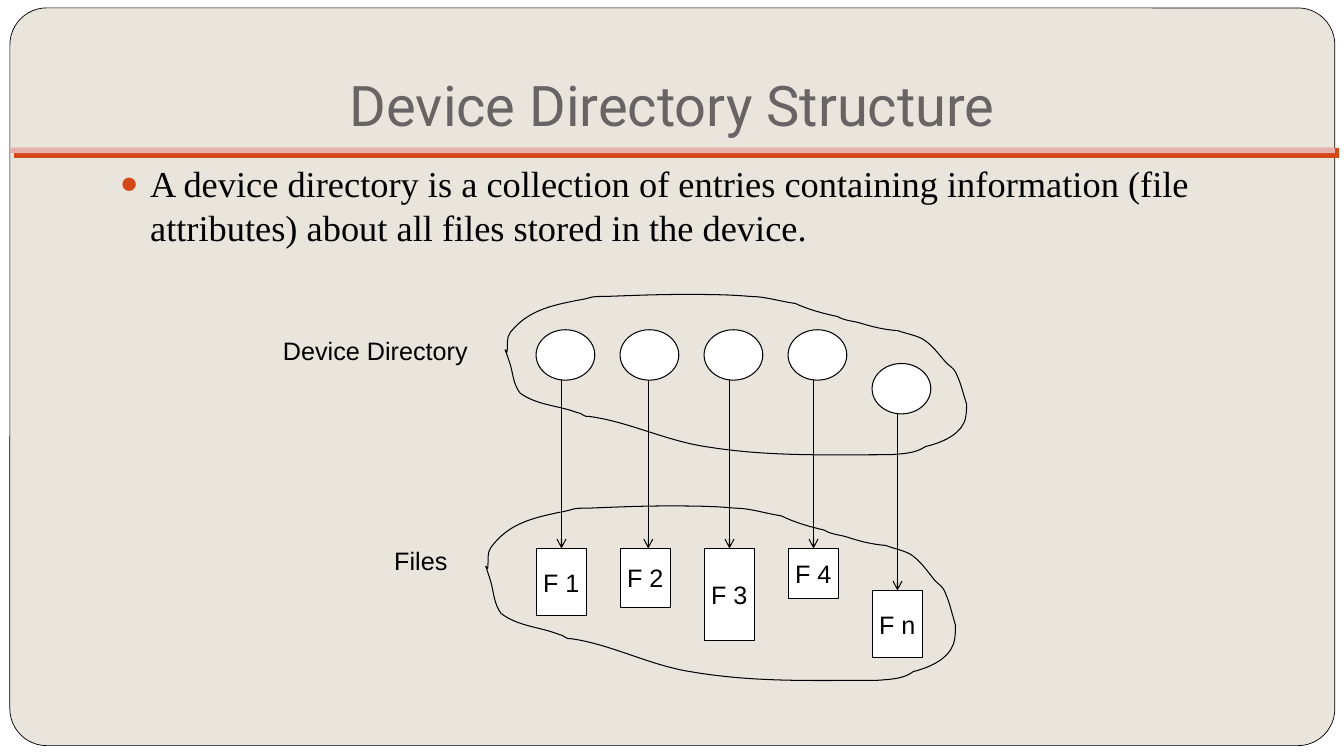
from lxml import etree
from pptx import Presentation
from pptx.dml.color import RGBColor
from pptx.enum.shapes import MSO_CONNECTOR, MSO_SHAPE
from pptx.enum.text import MSO_ANCHOR, MSO_AUTO_SIZE, PP_ALIGN
from pptx.oxml.ns import qn
from pptx.util import Cm, Pt

RECTANGLE = MSO_SHAPE.RECTANGLE
ROUNDED = MSO_SHAPE.ROUNDED_RECTANGLE
OVAL = MSO_SHAPE.OVAL
STRAIGHT = MSO_CONNECTOR.STRAIGHT
CENTER, LEFT = PP_ALIGN.CENTER, PP_ALIGN.LEFT
TOP, MIDDLE, BOTTOM = MSO_ANCHOR.TOP, MSO_ANCHOR.MIDDLE, MSO_ANCHOR.BOTTOM
NO_AUTOFIT = MSO_AUTO_SIZE.NONE

COLORS = {
    "white": "FFFFFF", "black": "000000", "panel": "E9E5DC",
    "accent": "D34817", "pale": "E6B1AC", "title": "696464",
}

# Cloud outline on a 458 x 161 grid: a start, then two controls and an end per curve
CLOUD_GRID = (458, 161)
CLOUD_START = (2, 57)
CLOUD_CURVES = [
    (3, 50, 1, 43, 5, 38), (22, 16, 46, 11, 71, 6),
    (90, 3, 80, 2, 101, 2), (127, 1, 152, 0, 177, 0),
    (199, 0, 221, 0, 243, 2), (258, 2, 273, 7, 288, 9),
    (301, 15, 316, 19, 330, 22), (337, 26, 343, 26, 351, 28),
    (364, 32, 376, 35, 390, 36), (398, 39, 406, 40, 414, 44),
    (424, 50, 430, 59, 438, 68), (441, 71, 445, 73, 447, 77),
    (451, 85, 453, 92, 455, 99), (456, 102, 458, 109, 458, 109),
    (458, 113, 458, 123, 455, 128), (449, 141, 430, 148, 417, 151),
    (407, 158, 394, 158, 382, 159), (318, 159, 261, 161, 199, 151),
    (159, 145, 122, 126, 83, 121), (81, 121, 79, 121, 78, 120),
    (76, 119, 74, 117, 71, 117), (52, 110, 32, 110, 15, 98),
    (8, 89, 8, 79, 5, 69), (5, 69, 1, 57, 0, 55), (0, 55, 1, 56, 2, 57),
]

# Label, file height, circle drop, file drop, arrow offset (cm)
FILES = [
    ("F 1", 1.69, 0, 0, 0.64),
    ("F 2", 1.48, 0, 0, 0.71),
    ("F 3", 2.33, 0, 0, 0.64),
    ("F 4", 1.27, 0, 0, 0.64),
    ("F n", 1.69, 0.85, 1.06, 0.64),
]


def color(name):
    return RGBColor.from_string(COLORS[name])


def style_shape(shape, fill=None, line=None, width=0.75):
    shape.shadow.inherit = False
    if fill:
        shape.fill.solid()
        shape.fill.fore_color.rgb = color(fill)
    else:
        shape.fill.background()
    if line:
        shape.line.color.rgb = color(line)
        shape.line.width = Pt(width)
    else:
        shape.line.fill.background()


def add_box(page, kind, box, fill, line=None, width=0.75):
    shape = page.shapes.add_shape(kind, *map(Cm, box))
    style_shape(shape, fill, line, width)
    return shape


def write_text(shape, text, font, size, ink, align=CENTER, anchor=MIDDLE, wrap=False):
    frame = shape.text_frame
    frame.text = text
    frame.word_wrap = wrap
    frame.auto_size = NO_AUTOFIT
    frame.vertical_anchor = anchor
    para = frame.paragraphs[0]
    para.alignment = align
    para.space_before = Pt(0)
    span = para.runs[0]
    span.font.name = font
    span.font.size = Pt(size)
    span.font.color.rgb = color(ink)
    return para


def place_in_front(shape, box):
    shape.left, shape.top, shape.width, shape.height = map(Cm, box)
    shape.element.getparent().append(shape.element)


def add_frame(page, box):
    left, top, width, height = box
    add_box(page, RECTANGLE, box, "white")
    panel = add_box(page, ROUNDED, (left + 0.25, top + 0.2, width - 0.48, height - 0.46),
                    "panel", "black", 0.5)
    panel.adjustments[0] = 0.05
    # Double rule under the title
    for offset, thickness, fill in ((0.36, 0.25, "accent"), (0.25, 0.13, "pale")):
        add_box(page, RECTANGLE, (left + offset, top + 3.73, width - 0.48, thickness), fill)


def add_title(page, box):
    title = page.shapes.title
    place_in_front(title, box)
    write_text(title, "Device Directory Structure", "Roboto", 40, "title",
               anchor=BOTTOM, wrap=True)
    title.text_frame.margin_bottom = Cm(0.25)


def add_body(page, box):
    body = page.placeholders[1]
    place_in_front(body, box)
    para = write_text(
        body,
        "A device directory is a collection of entries containing information "
        "(file attributes) about all files stored in the device.",
        "Times New Roman", 26, "black", LEFT, TOP, True)
    # Bullet and hanging indent
    properties = para._p.get_or_add_pPr()
    properties.set("marL", str(Cm(0.76)))
    properties.set("indent", str(Cm(-0.76)))
    bullet_color = etree.SubElement(properties, qn("a:buClr"))
    etree.SubElement(bullet_color, qn("a:srgbClr"), val=COLORS["accent"])
    etree.SubElement(properties, qn("a:buSzPct"), val="85000")
    etree.SubElement(properties, qn("a:buChar"), char="●")


def add_cloud(page, box):
    left, top, width, height = map(Cm, box)
    columns, rows = CLOUD_GRID
    builder = page.shapes.build_freeform(*CLOUD_START, scale=(width / columns, height / rows))
    builder.add_line_segments([curve[4:] for curve in CLOUD_CURVES], close=True)
    cloud = builder.convert_to_shape(left, top)
    cloud.width, cloud.height = width, height
    style_shape(cloud, line="black")
    # Bend each straight segment into its curve
    outline = cloud.element.find(".//" + qn("a:path"))
    outline.set("w", str(columns))
    outline.set("h", str(rows))
    for segment, curve in zip(outline.findall(qn("a:lnTo")), CLOUD_CURVES):
        bend = etree.Element(qn("a:cubicBezTo"))
        for x, y in zip(curve[::2], curve[1::2]):
            etree.SubElement(bend, qn("a:pt"), x=str(x), y=str(y))
        outline.replace(segment, bend)


def add_arrow(page, x, top, bottom):
    arrow = page.shapes.add_connector(STRAIGHT, Cm(x), Cm(top), Cm(x), Cm(bottom))
    arrow.line.color.rgb = color("black")
    arrow.line.width = Pt(0.75)
    outline = arrow.element.spPr.find(qn("a:ln"))
    etree.SubElement(outline, qn("a:tailEnd"), type="arrow")
    etree.SubElement(arrow.element.spPr, qn("a:effectLst"))


def add_diagram(page, box):
    left, top, width, height = box
    # Directory entries, files and the arrows between them
    for index, (name, file_height, entry_drop, file_drop, offset) in enumerate(FILES):
        x = left + 6.65 + index * 2.117
        entry_top = top + 0.89 + entry_drop
        file_top = top + 6.4 + file_drop
        add_box(page, OVAL, (x, entry_top, 1.48, 1.27), "white", "black")
        file = add_box(page, RECTANGLE, (x, file_top, 1.27, file_height), "white", "black")
        write_text(file, name, "Arial", 18, "black")
        add_arrow(page, x + offset, entry_top + 1.27, file_top)
    # Clouds around both groups
    add_cloud(page, (left + 5.87, top, width - 5.87, 4.09))
    add_cloud(page, (left + 5.38, top + 5.33, width - 5.66, height - 5.33))
    # Group labels
    for text, x, y, label_width in (("Device Directory", 0, 0.89, 5.2),
                                    ("Files", 2.82, 6.2, 1.85)):
        label = page.shapes.add_textbox(Cm(left + x), Cm(top + y), Cm(label_width), Cm(1.02))
        write_text(label, text, "Arial", 18, "black")


def main():
    deck = Presentation()
    deck.slide_width, deck.slide_height = Cm(33.87), Cm(19.05)
    page = deck.slides.add_slide(deck.slide_layouts[1])
    page.background.fill.solid()
    page.background.fill.fore_color.rgb = color("panel")
    add_frame(page, (0, 0, 33.87, 19.05))
    add_title(page, (5.74, 0.53, 22.4, 3.18))
    add_body(page, (2.77, 3.94, 28.63, 14.73))
    add_diagram(page, (6.86, 7.42, 17.5, 9.78))
    deck.save("out.pptx")


if __name__ == "__main__":
    main()
